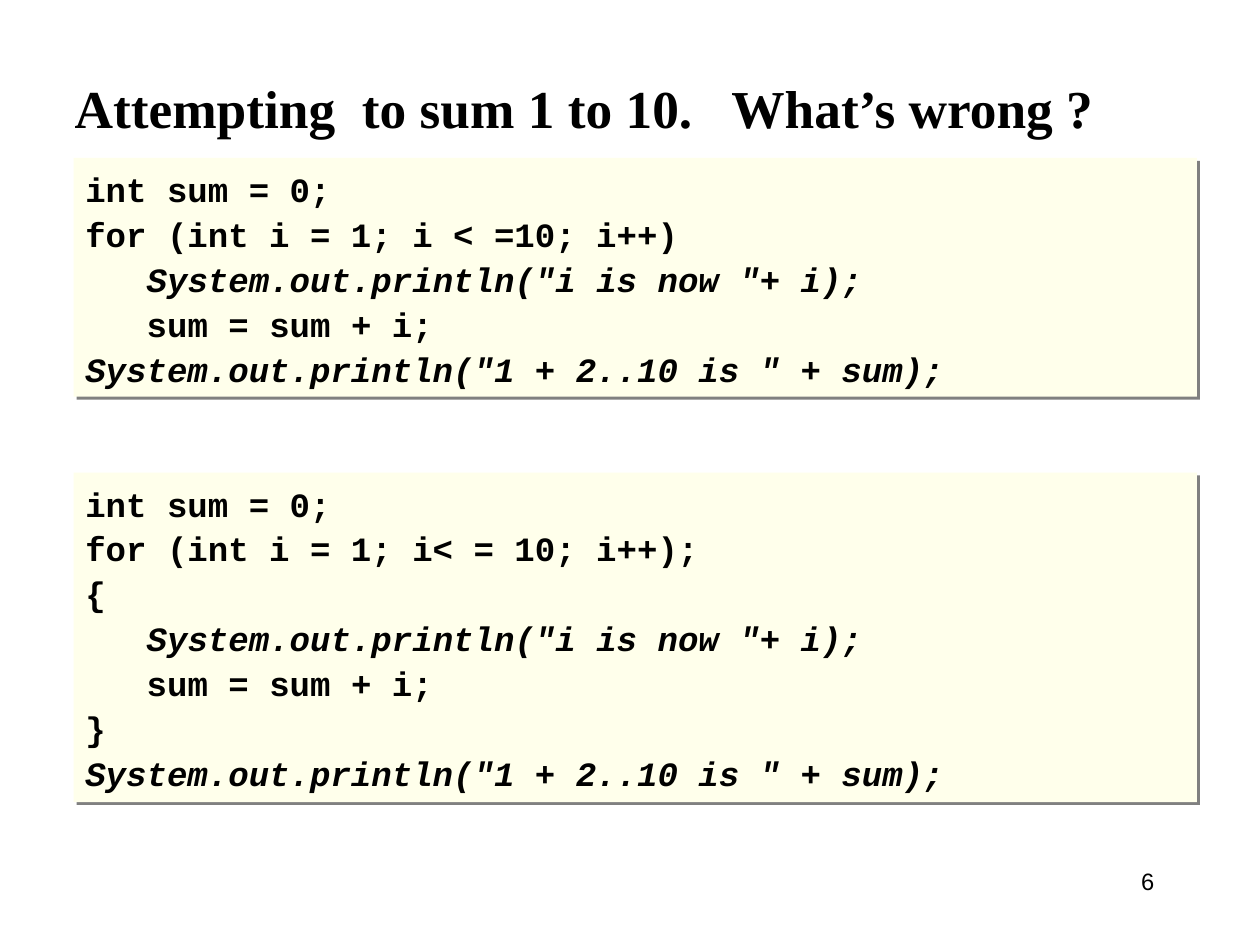
import dataclasses

import lxml.etree
import pptx
import pptx.dml.color
import pptx.enum.shapes
import pptx.enum.text
import pptx.oxml
import pptx.oxml.ns
import pptx.util

Pt = pptx.util.Pt
BLACK = pptx.dml.color.RGBColor(0x00, 0x00, 0x00)
CREAM = pptx.dml.color.RGBColor(0xFF, 0xFF, 0xEB)
GRAY = pptx.dml.color.RGBColor(0x80, 0x80, 0x80)

CODE_SIZE = 23
CODE_INDENT = 3 * 0.6 * CODE_SIZE
LEFT = pptx.enum.text.PP_ALIGN.LEFT
RIGHT = pptx.enum.text.PP_ALIGN.RIGHT


@dataclasses.dataclass
class Line:
    text: str
    indent: int = 0
    italic: bool = False


@dataclasses.dataclass
class CodeBox:
    top: float
    height: float
    lines: list[Line]


def set_frame(tf, margin_top=4.3):
    tf.word_wrap = True
    tf.auto_size = pptx.enum.text.MSO_AUTO_SIZE.NONE
    tf.vertical_anchor = pptx.enum.text.MSO_ANCHOR.TOP
    tf.margin_left = tf.margin_right = Pt(7.9)
    tf.margin_top, tf.margin_bottom = Pt(margin_top), Pt(4.3)


def write(p, text, *, font, size, bold=False, italic=False, align=LEFT,
          spacing=1.0, indent=0.0):
    p.alignment = align
    p.line_spacing = spacing
    p.space_before = p.space_after = Pt(0)
    if indent:
        p._p.get_or_add_pPr().set("marL", str(Pt(indent)))
    r = p.add_run()
    r.text = text
    r.font.name, r.font.size = font, Pt(size)
    r.font.bold, r.font.italic = bold, italic
    r.font.color.rgb = BLACK


def add_shadow(sp, color):
    sp.shadow.inherit = False
    effects = sp._element.spPr.find(pptx.oxml.ns.qn("a:effectLst"))
    shadow = lxml.etree.SubElement(
        effects, pptx.oxml.ns.qn("a:outerShdw"), blurRad="0",
        dist=str(Pt(2.8)), dir=str(45 * 60000), algn="ctr", rotWithShape="0")
    lxml.etree.SubElement(
        shadow, pptx.oxml.ns.qn("a:srgbClr"), val=str(color))


def add_code_box(s, box: CodeBox):
    sp = s.shapes.add_shape(
        pptx.enum.shapes.MSO_SHAPE.RECTANGLE,
        Pt(49.7), Pt(box.top), Pt(758.2), Pt(box.height))
    sp.fill.solid()
    sp.fill.fore_color.rgb = CREAM
    sp.line.fill.background()
    add_shadow(sp, GRAY)
    tf = sp.text_frame
    set_frame(tf)
    for i, line in enumerate(box.lines):
        p = tf.add_paragraph() if i else tf.paragraphs[0]
        write(p, line.text, font="Courier New", size=CODE_SIZE, bold=True,
              italic=line.italic, spacing=1.1,
              indent=line.indent * CODE_INDENT)


START = Line("int sum = 0;")
BODY = [Line('System.out.println("i is now "+ i);', 1, True),
        Line("sum = sum + i;", 1)]
RESULT = Line('System.out.println("1 + 2..10 is " + sum);', italic=True)
BOXES = [
    CodeBox(106.6, 161.3,
            [START, Line("for (int i = 1; i < =10; i++)"), *BODY, RESULT]),
    CodeBox(319, 222.5,
            [START, Line("for (int i = 1; i< = 10; i++);"), Line("{"),
             *BODY, Line("}"), RESULT]),
]

prs = pptx.Presentation()
prs.slide_width, prs.slide_height = Pt(850.4), Pt(638)
s = prs.slides.add_slide(prs.slide_layouts[5])

title = s.shapes.title
title.left, title.top = Pt(42.5), Pt(42.5)
title.width, title.height = Pt(758.2), Pt(51.8)
set_frame(title.text_frame, margin_top=8)
write(title.text_frame.paragraphs[0],
      "Attempting  to sum 1 to 10.   What\u2019s wrong ?",
      font="Times New Roman", size=36, bold=True)

for box in BOXES:
    add_code_box(s, box)

number = s.shapes.add_textbox(Pt(609.8), Pt(581), Pt(177.1), Pt(42.5))
set_frame(number.text_frame)
write(number.text_frame.paragraphs[0], "6", font="Arial", size=16, align=RIGHT)

prs.save("out.pptx")
